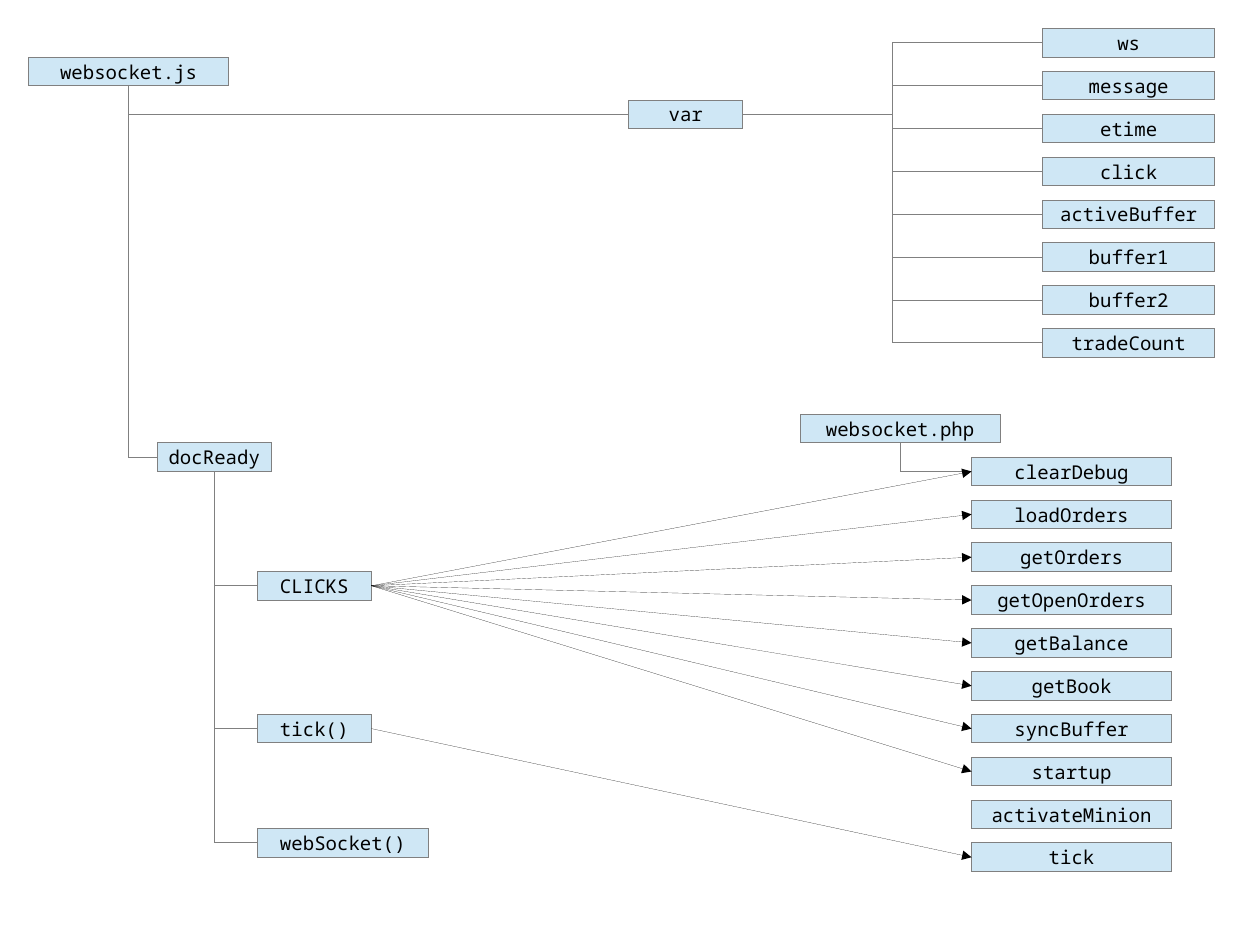
from lxml.etree import SubElement
from pptx import Presentation
from pptx.dml.color import RGBColor
from pptx.enum.shapes import MSO_CONNECTOR as LINE, MSO_SHAPE
from pptx.enum.text import PP_ALIGN
from pptx.oxml.ns import qn
from pptx.util import Cm, Inches, Pt

VARIABLES = ["ws", "message", "etime", "click", "activeBuffer",
             "buffer1", "buffer2", "tradeCount"]
HANDLERS = ["clearDebug", "loadOrders", "getOrders", "getOpenOrders", "getBalance",
            "getBook", "syncBuffer", "startup", "activateMinion", "tick"]
CLICK_HANDLERS = HANDLERS[:8]

# label: (column, row, columns wide)
BOXES = {
    "websocket.js": (2, 4, 14),
    "var": (44, 7, 8),
    "docReady": (11, 31, 8),
    "CLICKS": (18, 40, 8),
    "tick()": (18, 50, 8),
    "webSocket()": (18, 58, 12),
    "websocket.php": (56, 29, 14),
}
STACKS = [(VARIABLES, 73, 2, 12), (HANDLERS, 68, 32, 14)]
CHILDREN = {
    "websocket.js": ["var", "docReady"],
    "docReady": ["CLICKS", "tick()", "webSocket()"],
    "websocket.php": ["clearDebug"],
}
CALLS = {"CLICKS": CLICK_HANDLERS, "tick()": ["tick"]}

CELL = Inches(1) // 8
BOX_ROWS, STACK_ROWS = 2, 3
LEFT, BOTTOM, RIGHT = 1, 2, 3
FONT = "Noto Sans Mono"
PALE_BLUE = RGBColor(0xCF, 0xE7, 0xF5)
GRAY = RGBColor(0x80, 0x80, 0x80)
BLACK = RGBColor(0, 0, 0)


def set_hairline(s, color):
    s.line.color.rgb = color
    ln = s._element.spPr.find(qn("a:ln"))
    ln.set("w", "0")
    return ln


def add_box(slide, label, col, row, cols):
    s = slide.shapes.add_shape(MSO_SHAPE.RECTANGLE, col * CELL, row * CELL,
                               cols * CELL, BOX_ROWS * CELL)
    s.shadow.inherit = False
    s.fill.solid()
    s.fill.fore_color.rgb = PALE_BLUE
    set_hairline(s, GRAY)
    p = s.text_frame.paragraphs[0]
    p.text = label
    p.alignment = PP_ALIGN.CENTER
    p.font.name = FONT
    p.font.size = Pt(12)
    p.font.color.rgb = BLACK
    return s


def add_link(slide, kind, start, start_side, end, end_side, color, arrow=False):
    c = slide.shapes.add_connector(kind, 0, 0, 0, 0)
    c.begin_connect(start, start_side)
    c.end_connect(end, end_side)
    ln = set_hairline(c, color)
    if arrow:
        SubElement(ln, qn("a:tailEnd"), type="triangle")
    SubElement(c._element.spPr, qn("a:effectLst"))
    return c


def main():
    prs = Presentation()
    prs.slide_width, prs.slide_height = Cm(28), Cm(21)
    slide = prs.slides.add_slide(prs.slide_layouts[6])

    places = dict(BOXES)
    for labels, col, row, cols in STACKS:
        for i, label in enumerate(labels):
            places[label] = (col, row + i * STACK_ROWS, cols)
    boxes = {label: add_box(slide, label, *place) for label, place in places.items()}

    for label in VARIABLES:
        add_link(slide, LINE.ELBOW, boxes["var"], RIGHT, boxes[label], LEFT, GRAY)

    for parent, children in CHILDREN.items():
        for child in children:
            c = add_link(slide, LINE.ELBOW, boxes[child], LEFT,
                         boxes[parent], BOTTOM, GRAY)
            c._element.spPr.find(qn("a:prstGeom")).set("prst", "bentConnector2")

    for caller, handlers in CALLS.items():
        for handler in handlers:
            add_link(slide, LINE.STRAIGHT, boxes[caller], RIGHT,
                     boxes[handler], LEFT, BLACK, arrow=True)

    prs.save("out.pptx")


if __name__ == "__main__":
    main()
